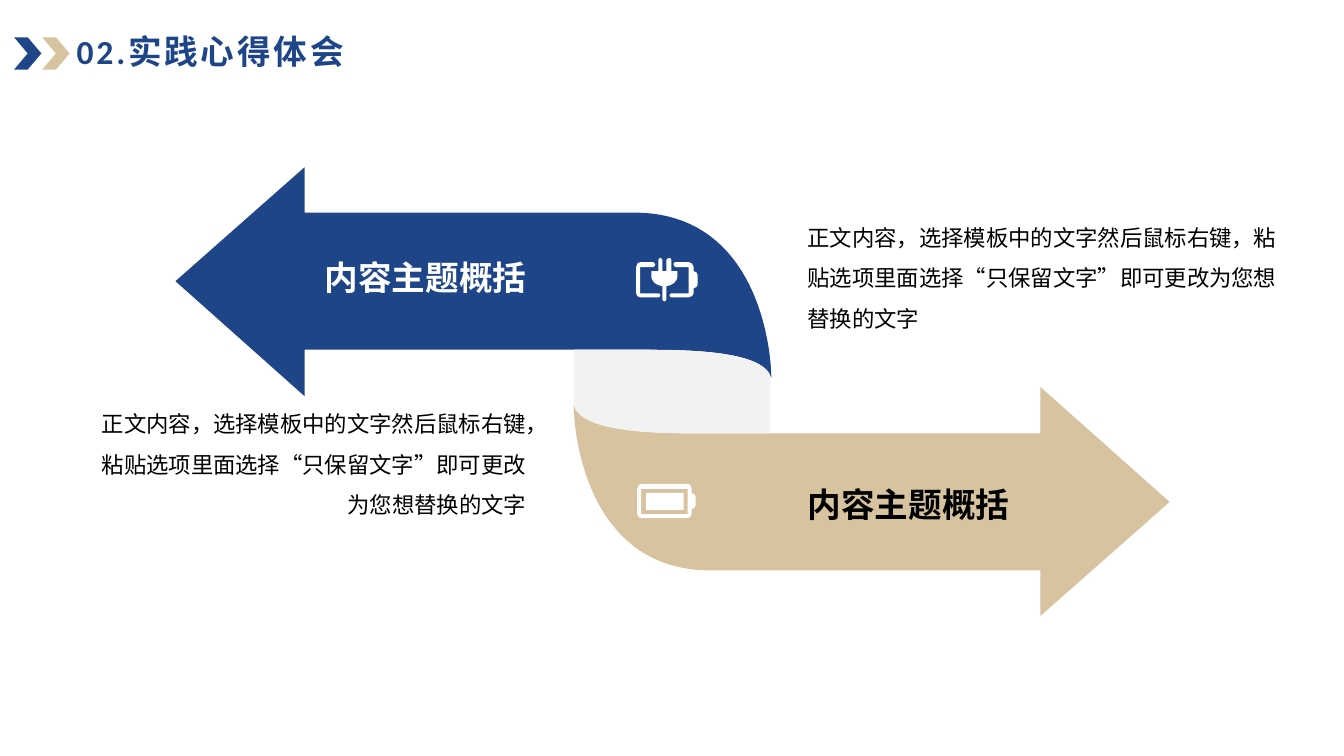
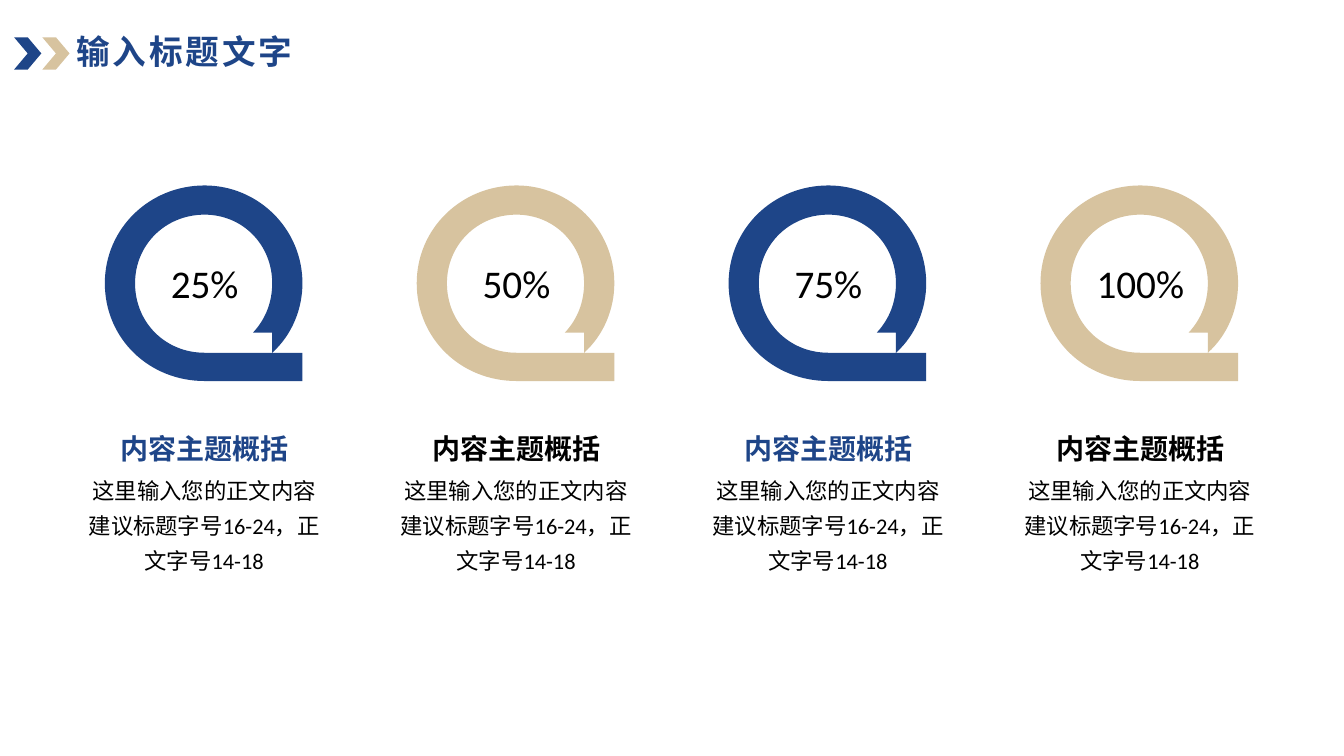
"""Build two slides: a pair of opposed arrows and a row of four progress rings."""
import dataclasses

import lxml.etree
import pptx
import pptx.dml.color
import pptx.enum.shapes
import pptx.enum.text
import pptx.oxml.ns
import pptx.util

Inches = pptx.util.Inches
Align = pptx.enum.text.PP_ALIGN
Anchor = pptx.enum.text.MSO_ANCHOR
AutoSize = pptx.enum.text.MSO_AUTO_SIZE
Preset = pptx.enum.shapes.MSO_SHAPE
qn = pptx.oxml.ns.qn


@dataclasses.dataclass(frozen=True)
class Theme:
    blue: str = "1E4588"
    sand: str = "D7C39F"
    pale: str = "F2F2F2"
    white: str = "FFFFFF"
    black: str = "000000"
    font: str = "Calibri"
    title: int = 24
    heading: int = 20
    body: int = 16
    figure: int = 28


THEME = Theme()
TOPIC = "内容主题概括"
ADVICE = "正文内容，选择模板中的文字然后鼠标右键，粘贴选项里面选择“只保留文字”即可更改为您想替换的文字"
HINT = "这里输入您的正文内容\n建议标题字号16-24，正文字号14-18"

ARROW = [(6.29, 2.11), (3.02, 2.11), (3.02, 1.66), (1.74, 2.79), (3.02, 3.93), (3.02, 3.47),
         (6.29, 3.47), (6.72, 3.47, 7.58, 3.46, 7.65, 3.75), (7.65, 3.47, 7.52, 2.11, 6.29, 2.11)]
FOLD = [(7.05, 4.3), (7.64, 4.3), (7.64, 3.73), (7.53, 3.46, 6.71, 3.47, 6.29, 3.47),
        (5.69, 3.47), (5.69, 4.01), (5.76, 4.31, 6.61, 4.3, 7.05, 4.3)]
BATTERY_CASE = [(6.86, 4.89), (6.86, 4.85), (6.86, 4.82, 6.84, 4.8, 6.82, 4.8), (6.36, 4.8),
                (6.34, 4.8, 6.32, 4.82, 6.32, 4.85), (6.32, 5.1),
                (6.32, 5.12, 6.34, 5.14, 6.36, 5.14), (6.82, 5.14),
                (6.84, 5.14, 6.86, 5.12, 6.86, 5.1), (6.86, 5.05),
                (6.88, 5.05, 6.9, 5.03, 6.9, 5.01), (6.9, 4.93),
                (6.9, 4.91, 6.88, 4.89, 6.86, 4.89)]
BATTERY_HOLLOW = [(6.36, 5.1), (6.36, 4.85), (6.82, 4.85), (6.82, 5.1)]
CHARGER_LEFT = [(6.53, 2.91), (6.35, 2.91), (6.35, 2.65), (6.48, 2.65),
                (6.49, 2.65, 6.5, 2.63, 6.5, 2.62), (6.5, 2.61, 6.49, 2.6, 6.48, 2.6),
                (6.35, 2.6), (6.33, 2.6, 6.31, 2.62, 6.31, 2.65), (6.31, 2.91),
                (6.31, 2.93, 6.33, 2.95, 6.35, 2.95), (6.53, 2.95),
                (6.54, 2.95, 6.55, 2.94, 6.55, 2.93), (6.55, 2.92, 6.54, 2.91, 6.53, 2.91)]
CHARGER_RIGHT = [(6.88, 2.69), (6.88, 2.65), (6.88, 2.62, 6.85, 2.6, 6.83, 2.6), (6.7, 2.6),
                 (6.69, 2.6, 6.68, 2.61, 6.68, 2.62), (6.68, 2.63, 6.69, 2.65, 6.7, 2.65),
                 (6.83, 2.65), (6.83, 2.91), (6.66, 2.91),
                 (6.65, 2.91, 6.64, 2.92, 6.64, 2.93), (6.64, 2.94, 6.65, 2.95, 6.66, 2.95),
                 (6.83, 2.95), (6.85, 2.95, 6.88, 2.93, 6.88, 2.91), (6.88, 2.86),
                 (6.9, 2.86, 6.92, 2.84, 6.92, 2.82), (6.92, 2.73),
                 (6.92, 2.71, 6.9, 2.69, 6.88, 2.69)]
PLUG = [(6.72, 2.73), (6.72, 2.69), (6.66, 2.69), (6.66, 2.58),
        (6.66, 2.57, 6.65, 2.56, 6.64, 2.56), (6.63, 2.56, 6.61, 2.57, 6.61, 2.58),
        (6.61, 2.69), (6.57, 2.69), (6.57, 2.58),
        (6.57, 2.57, 6.56, 2.56, 6.55, 2.56), (6.54, 2.56, 6.53, 2.57, 6.53, 2.58),
        (6.53, 2.69), (6.46, 2.69), (6.46, 2.73), (6.46, 2.8, 6.51, 2.83, 6.57, 2.84),
        (6.57, 2.97), (6.57, 2.98, 6.58, 2.99, 6.59, 2.99),
        (6.6, 2.99, 6.61, 2.98, 6.61, 2.97), (6.61, 2.84),
        (6.67, 2.83, 6.72, 2.8, 6.72, 2.73)]
RING_INNER = [(0.3, 0.97), (0.3, 0.59, 0.6, 0.29, 0.99, 0.29), (1.37, 0.29, 1.66, 0.59, 1.66, 0.97),
              (1.66, 1.15, 1.6, 1.32, 1.47, 1.46), (1.66, 1.46), (1.66, 1.66), (0.99, 1.66),
              (0.6, 1.66, 0.3, 1.36, 0.3, 0.97)]
RING_OUTER = [(1.66, 1.66), (1.86, 1.48, 1.96, 1.22, 1.96, 0.97), (1.96, 0.43, 1.52, 0, 0.99, 0),
              (0.44, 0, 0, 0.43, 0, 0.97), (0, 1.52, 0.44, 1.94, 0.99, 1.94), (1.96, 1.94),
              (1.96, 1.66)]


def rgb(color):
    return pptx.dml.color.RGBColor.from_string(color)


def place(contour, dx, dy):
    return [tuple(Inches(v + (dy if i % 2 else dx)) for i, v in enumerate(part)) for part in contour]


def half_turn(contour, width=13.34, height=7.77):
    return [tuple((height if i % 2 else width) - v for i, v in enumerate(part)) for part in contour]


def bend(shape, contours):
    """Turn the straight segments whose part has six numbers into cubic curves."""
    parts = [part for contour in contours for part in contour[1:]]
    for segment, part in zip(list(shape._element.iter(qn("a:lnTo"))), parts):
        if len(part) == 6:
            curve = lxml.etree.SubElement(segment.getparent(), qn("a:cubicBezTo"))
            for x, y in zip(part[::2], part[1::2]):
                lxml.etree.SubElement(curve, qn("a:pt"), x=str(x - shape.left), y=str(y - shape.top))
            segment.getparent().replace(segment, curve)


def write(frame, text, size=THEME.body, color=THEME.black, bold=False, align=Align.LEFT,
          spacing=1.0, tracking=0, anchor=Anchor.TOP, wrap=True, margins=(0, 0),
          fit=AutoSize.SHAPE_TO_FIT_TEXT):
    frame.word_wrap, frame.auto_size, frame.vertical_anchor = wrap, fit, anchor
    frame.margin_left = frame.margin_right = Inches(margins[0])
    frame.margin_top = frame.margin_bottom = Inches(margins[1])
    for index, line in enumerate(text.split("\n")):
        paragraph = frame.add_paragraph() if index else frame.paragraphs[0]
        paragraph.alignment, paragraph.line_spacing = align, spacing
        run = paragraph.add_run()
        run.text = line
        run.font.name, run.font.size, run.font.bold = THEME.font, pptx.util.Pt(size), bold
        run.font.color.rgb = rgb(color)
        properties = run._r.get_or_add_rPr()
        properties.set("lang", "zh-CN")
        if tracking:
            properties.set("spc", str(tracking * 100))


class Deck:
    """Hold the presentation, its theme and the slide being drawn."""

    def __init__(self, theme):
        self.theme = theme
        self.presentation = pptx.Presentation()
        self.presentation.slide_width, self.presentation.slide_height = Inches(13.33), Inches(7.5)
        self.slide = None

    def add_slide(self, title):
        self.slide = self.presentation.slides.add_slide(self.presentation.slide_layouts[5])
        for left, color in ((0.42, self.theme.sand), (0.14, self.theme.blue)):
            self.preset(Preset.CHEVRON, left, 0.37, 0.27, 0.32, color)
        heading = self.slide.shapes.title
        heading.left, heading.top = Inches(0.76), Inches(0.29)
        heading.width, heading.height = Inches(8.8), Inches(0.48)
        write(heading.text_frame, title, size=self.theme.title, color=self.theme.blue, bold=True,
              spacing=0.9, tracking=2, anchor=Anchor.MIDDLE, fit=AutoSize.NONE)

    def paint(self, shape, color):
        shape.shadow.inherit = False
        shape.fill.solid()
        shape.fill.fore_color.rgb = rgb(color)
        shape.line.fill.background()

    def preset(self, kind, left, top, width, height, color):
        box = map(Inches, (left, top, width, height))
        self.paint(self.slide.shapes.add_shape(kind, *box), color)

    def outline(self, color, *contours, dx=0, dy=0):
        placed = [place(contour, dx, dy) for contour in contours]
        builder = self.slide.shapes.build_freeform(*placed[0][0], scale=1.0)
        for index, contour in enumerate(placed):
            if index:
                builder.move_to(*contour[0])
            builder.add_line_segments([part[-2:] for part in contour[1:]], close=False)
        shape = builder.convert_to_shape()
        bend(shape, placed)
        self.paint(shape, color)

    def text(self, content, left, top, width, height, **style):
        box = self.slide.shapes.add_textbox(*map(Inches, (left, top, width, height)))
        write(box.text_frame, content, **style)


def draw_arrows(deck):
    theme = deck.theme
    deck.add_slide("02.实践心得体会")
    deck.outline(theme.blue, ARROW)
    deck.outline(theme.sand, half_turn(ARROW))
    deck.outline(theme.pale, FOLD)
    deck.outline(theme.white, BATTERY_CASE, BATTERY_HOLLOW)
    deck.preset(Preset.RECTANGLE, 6.41, 4.89, 0.37, 0.17, theme.white)
    for charger_part in (CHARGER_LEFT, CHARGER_RIGHT, PLUG):
        deck.outline(theme.white, charger_part)
    for topic_left, topic_top, color, advice_left, advice_top, advice_width, align in (
            (3.2, 2.55, theme.white, 0.94, 3.94, 4.28, Align.RIGHT),
            (8.01, 4.8, theme.black, 8.01, 2.09, 4.66, Align.LEFT)):
        deck.text(TOPIC, topic_left, topic_top, 2.02, 0.4, size=theme.title, color=color,
                  bold=True, align=align, wrap=False)
        deck.text(ADVICE, advice_left, advice_top, advice_width, 1.21, align=align, spacing=1.5)


def draw_rings(deck):
    theme = deck.theme
    deck.add_slide("输入标题文字")
    shares = ("25%", "50%", "75%", "100%")
    first_left, last_left = 1.04, 10.32
    pitch = (last_left - first_left) / (len(shares) - 1)
    for index, share in enumerate(shares):
        left = first_left + pitch * index
        ring, ink = ((theme.blue, theme.blue), (theme.sand, theme.black))[index % 2]
        share_width = 1.61 if len(share) > 3 else 1.23
        deck.outline(ring, RING_INNER, RING_OUTER, dx=left, dy=1.84)
        deck.text(share, left + 0.99 - share_width / 2, 2.5, share_width, 0.61,
                  size=theme.figure, align=Align.CENTER, margins=(0.13, 0.07))
        deck.text(TOPIC, left + 0.15, 4.28, 1.68, 0.34, size=theme.heading, color=ink, bold=True,
                  align=Align.CENTER, wrap=False)
        deck.text(HINT, left - 0.27, 4.65, 2.51, 1.05, align=Align.CENTER, spacing=1.3)


def main():
    deck = Deck(THEME)
    draw_arrows(deck)
    draw_rings(deck)
    deck.presentation.save("out.pptx")


if __name__ == "__main__":
    main()
